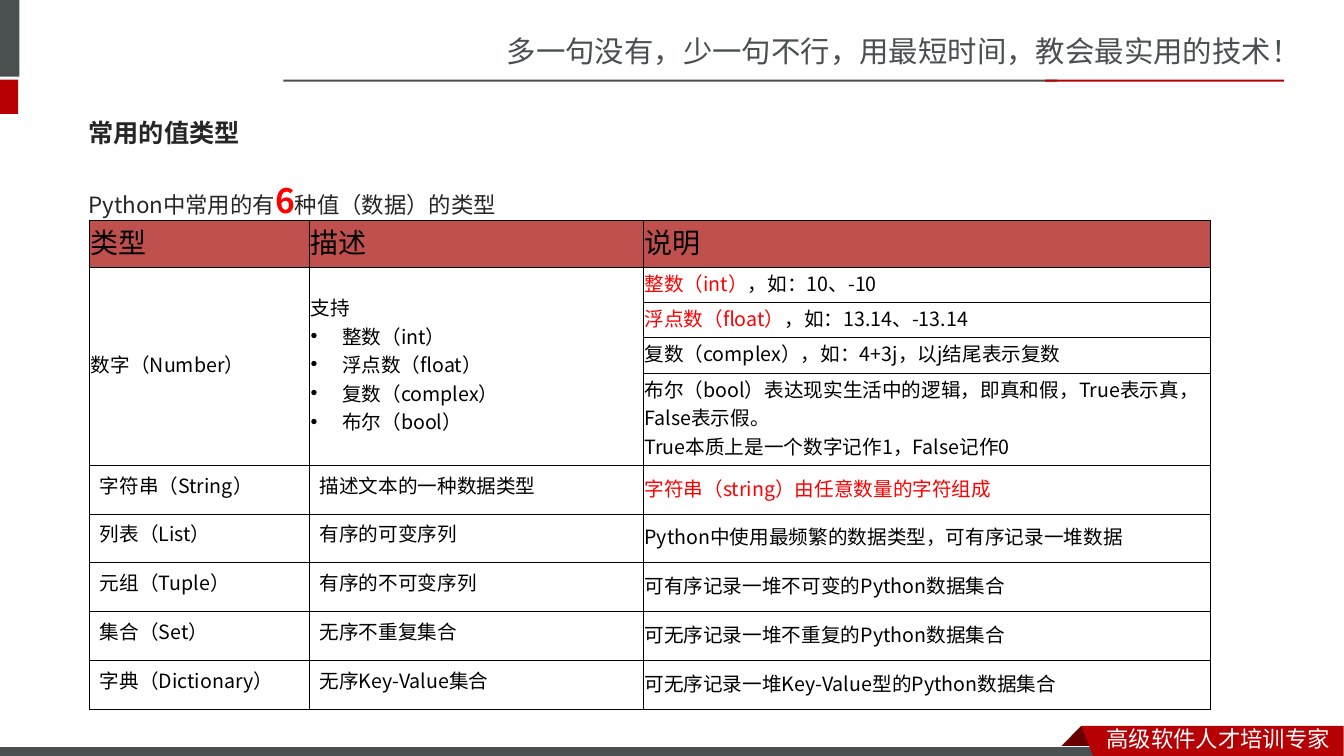
from dataclasses import dataclass

from lxml.etree import SubElement
from pptx import Presentation
from pptx.dml.color import RGBColor
from pptx.enum.shapes import MSO_SHAPE as Shape
from pptx.enum.text import MSO_ANCHOR as Anchor
from pptx.oxml.ns import qn
from pptx.util import Cm, Pt

COLORS = {
    "slate": "49504F", "red": "B60004", "maroon": "680000", "white": "FFFFFF",
    "ink": "262626", "alert": "FF0000", "black": "000000", "header": "C0504D",
}
SC, JP = "Noto Sans CJK SC", "Noto Sans CJK JP"


@dataclass
class Span:
    text: str
    size: float = 14
    color: str = "black"
    bold: bool = False
    font: str = JP


@dataclass
class Line:
    spans: list[Span]
    bullet: bool = False
    spacing: float = 1.0


@dataclass
class Bar:
    left: float
    top: float
    width: float
    height: float
    color: str
    outline: str = ""


@dataclass
class Label:
    left: float
    top: float
    width: float
    height: float
    line: Line
    anchor: Anchor = Anchor.TOP


@dataclass
class Cell:
    row: int
    column: int
    lines: list[Line]
    tight: bool = True


def rgb(name: str) -> RGBColor:
    return RGBColor.from_string(COLORS[name])


def write(frame, lines: list[Line]) -> None:
    for index, line in enumerate(lines):
        para = frame.add_paragraph() if index else frame.paragraphs[0]
        para.line_spacing = line.spacing
        if line.bullet:
            props = para._p.get_or_add_pPr()
            props.set("marL", str(Cm(0.79)))
            props.set("indent", str(-Cm(0.79)))
            SubElement(props, qn("a:buFont")).set("typeface", "Arial")
            SubElement(props, qn("a:buChar")).set("char", "•")
        for span in line.spans:
            run = para.add_run()
            run.text = span.text
            run.font.size, run.font.bold = Pt(span.size), span.bold
            run.font.color.rgb = rgb(span.color)
            run.font.name = span.font
            SubElement(run.font._element, qn("a:ea")).set("typeface", span.font)


def paint(shape, color: str, outline: str = "") -> None:
    shape.shadow.inherit = False
    shape.fill.solid()
    shape.fill.fore_color.rgb = rgb(color)
    if outline:
        shape.line.color.rgb = rgb(outline)
        shape.line.width = Pt(0.75)
    else:
        shape.line.fill.background()


def add_bar(page, bar: Bar) -> None:
    box = page.shapes.add_shape(
        Shape.RECTANGLE, Cm(bar.left), Cm(bar.top), Cm(bar.width), Cm(bar.height))
    paint(box, bar.color, bar.outline)


def add_polygon(page, points: list[tuple[float, float]], color: str) -> None:
    corners = [(Cm(x), Cm(y)) for x, y in points]
    builder = page.shapes.build_freeform(*corners[0])
    builder.add_line_segments(corners[1:], close=True)
    paint(builder.convert_to_shape(), color)


def add_label(page, label: Label) -> None:
    box = page.shapes.add_textbox(
        Cm(label.left), Cm(label.top), Cm(label.width), Cm(label.height))
    box.text_frame.word_wrap = True
    box.text_frame.vertical_anchor = label.anchor
    write(box.text_frame, [label.line])


def add_borders(cell) -> None:
    """Rule all four sides of a cell, ahead of its fill."""
    props = cell._tc.get_or_add_tcPr()
    for index, side in enumerate(("lnL", "lnR", "lnT", "lnB")):
        edge = SubElement(props, qn(f"a:{side}"), w=str(Pt(0.5)))
        fill = SubElement(edge, qn("a:solidFill"))
        SubElement(fill, qn("a:srgbClr"), val=COLORS["black"])
        props.insert(index, edge)


def plain(text: str, color: str = "black", bullet: bool = False) -> Line:
    return Line([Span(text, color=color)], bullet)


def type_cells() -> list[Cell]:
    cells = [Cell(0, column, [Line([Span(text, 20)])])
             for column, text in enumerate(("类型", "描述", "说明"))]
    kinds = ("整数（int）", "浮点数（float）", "复数（complex）", "布尔（bool）")
    cells += [
        Cell(1, 0, [plain("数字（Number）")]),
        Cell(1, 1, [plain("支持")] + [plain(kind, bullet=True) for kind in kinds]),
        Cell(1, 2, [Line([Span(kinds[0], color="alert"), Span("，如：10、-10")])]),
        Cell(2, 2, [Line([Span(kinds[1], color="alert"), Span("，如：13.14、-13.14")])]),
        Cell(3, 2, [plain("复数（complex），如：4+3j，以j结尾表示复数")]),
        Cell(4, 2, [
            plain("布尔（bool）表达现实生活中的逻辑，即真和假，True表示真，False表示假。"),
            plain("True本质上是一个数字记作1，False记作0")]),
    ]
    containers = [
        ("字符串（String）", "描述文本的一种数据类型", "字符串（string）由任意数量的字符组成"),
        ("列表（List）", "有序的可变序列", "Python中使用最频繁的数据类型，可有序记录一堆数据"),
        ("元组（Tuple）", "有序的不可变序列", "可有序记录一堆不可变的Python数据集合"),
        ("集合（Set）", "无序不重复集合", "可无序记录一堆不重复的Python数据集合"),
        ("字典（Dictionary）", "无序Key-Value集合", "可无序记录一堆Key-Value型的Python数据集合"),
    ]
    for row, texts in enumerate(containers, 5):
        for column, text in enumerate(texts):
            color = "alert" if (row, column) == (5, 2) else "black"
            cells.append(Cell(row, column, [plain(text, color)], column == 2))
    return cells


def add_type_table(page) -> None:
    widths = [5.54, 8.41, 14.3]
    heights = [1.19] + [0.89] * 3 + [2.32] + [1.23] * 5
    table = page.shapes.add_table(
        len(heights), len(widths), Cm(2.26), Cm(5.54),
        Cm(sum(widths)), Cm(sum(heights))).table
    table.first_row = table.horz_banding = False
    for column, width in zip(table.columns, widths):
        column.width = Cm(width)
    for row, height in zip(table.rows, heights):
        row.height = Cm(height)
        for box in row.cells:
            box.fill.background()
            add_borders(box)
    for box in table.rows[0].cells:
        box.fill.solid()
        box.fill.fore_color.rgb = rgb("header")
    for column in (0, 1):
        table.cell(1, column).merge(table.cell(4, column))
    for cell in type_cells():
        box = table.cell(cell.row, cell.column)
        if cell.tight:
            box.vertical_anchor = Anchor.MIDDLE
            box.margin_left = box.margin_right = box.margin_top = Cm(0.03)
            box.margin_bottom = Cm(0.13)
        write(box.text_frame, cell.lines)


def main() -> None:
    deck = Presentation()
    deck.slide_width, deck.slide_height = Cm(33.87), Cm(19.05)
    page = deck.slides.add_slide(deck.slide_layouts[6])
    add_label(page, Label(12.52, 0.71, 21.36, 1.19, Line(
        [Span("多一句没有，少一句不行，用最短时间，教会最实用的技术！", 21, "slate", font=SC)])))
    for bar in (
        Bar(-0.15, 0, 0.64, 1.93, "slate"),
        Bar(-0.15, 2.01, 0.61, 0.86, "red"),
        Bar(7.14, 2.01, 19.51, 0.05, "slate"),
        Bar(26.34, 2.01, 6.02, 0.05, "red"),
    ):
        add_bar(page, bar)
    add_polygon(page, [(27.25, 18.29), (27.81, 18.85), (27.79, 18.87),
                       (26.72, 18.87), (26.7, 18.85)], "maroon")
    add_bar(page, Bar(-0.03, 18.82, 27.94, 0.3, "slate", "white"))
    add_polygon(page, [(27.25, 18.29), (33.86, 18.29), (33.86, 19.15),
                       (27.58, 19.13)], "red")
    for label in (
        Label(27.64, 18.16, 6.22, 0.94,
              Line([Span("高级软件人才培训专家", 16, "white", font=SC)])),
        Label(1.98, 2.62, 29.72, 1.45,
              Line([Span("常用的值类型", 18, "ink", True)]), Anchor.MIDDLE),
        Label(1.98, 3.91, 29.72, 11.71, Line([
            Span("Python中常用的有", 16, "ink"), Span("6", 24, "alert", True),
            Span("种值（数据）的类型", 16, "ink")], spacing=1.5)),
    ):
        add_label(page, label)
    add_type_table(page)
    deck.save("out.pptx")


if __name__ == "__main__":
    main()
